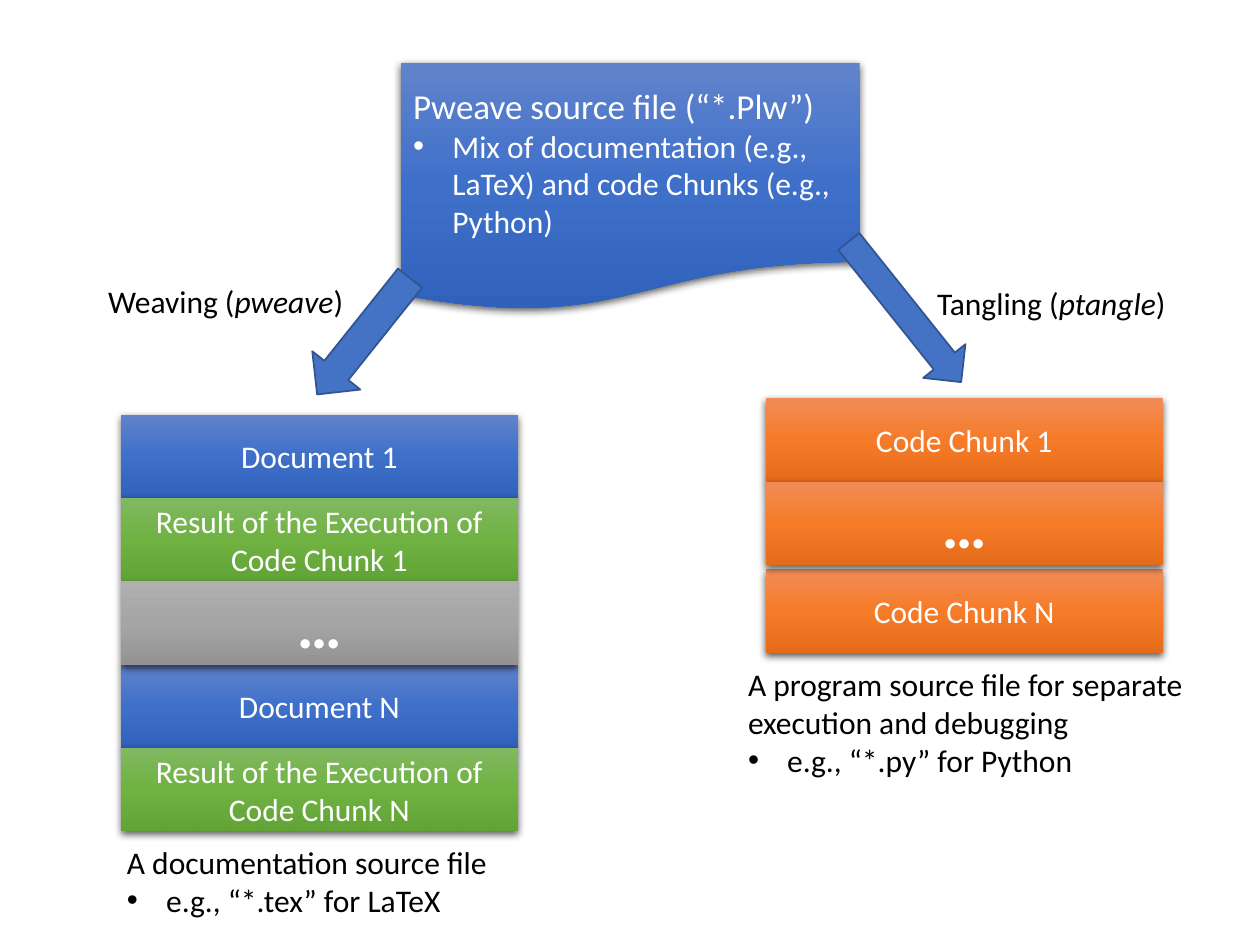
from copy import deepcopy

from lxml import etree
from pptx import Presentation
from pptx.dml.color import RGBColor
from pptx.enum.shapes import MSO_SHAPE as Preset
from pptx.enum.text import MSO_ANCHOR as Anchor, MSO_AUTO_SIZE as AutoSize, PP_ALIGN as Align
from pptx.oxml.ns import qn
from pptx.util import Cm, Pt

FONT = "Calibri"
COLORS = {
    "light": "FFFFFF",
    "dark": "000000",
    "arrow": "4472C4",
    "arrow_edge": "325491",
}
GRADIENTS = {
    "blue": ("6183CB", "3E70CA", "3062BB"),
    "green": ("81B861", "6FB242", "62A336"),
    "gray": ("AFAFAF", "A5A5A5", "939393"),
    "orange": ("F18C57", "F67B28", "E56C19"),
}
STACK_WIDTH, BLOCK_HEIGHT = 8, 1.68


def rgb(name):
    return RGBColor.from_string(COLORS[name])


def add_run(paragraph, text, color, size=18, bold=None, italic=None):
    run = paragraph.add_run()
    run.text = text
    font = run.font
    font.name, font.size, font.bold, font.italic = FONT, Pt(size), bold, italic
    font.color.rgb = rgb(color)


def add_bullet(frame, text, color):
    paragraph = frame.add_paragraph()
    properties = paragraph._p.get_or_add_pPr()
    properties.set("marL", str(Cm(0.79)))
    properties.set("indent", str(-Cm(0.79)))
    etree.SubElement(properties, qn("a:buFont")).set("typeface", "Arial")
    etree.SubElement(properties, qn("a:buChar")).set("char", "•")
    add_run(paragraph, text, color)


def fill_gradient(shape, gradient):
    """Fill from top to bottom with three evenly spaced colours."""
    shape.fill.gradient()
    shape.fill.gradient_angle = 270
    stop_list = shape._element.spPr.find(qn("a:gradFill")).find(qn("a:gsLst"))
    stop_list.append(deepcopy(stop_list[0]))
    for index, (stop, color) in enumerate(zip(shape.fill.gradient_stops, GRADIENTS[gradient])):
        stop.position = index / 2
        stop.color.rgb = RGBColor.from_string(color)


def add_shadow(shape):
    shape.shadow.inherit = False
    effects = shape._element.spPr.find(qn("a:effectLst"))
    shadow = etree.SubElement(effects, qn("a:outerShdw"), blurRad=str(Pt(4.5)),
                              dist=str(Pt(1.5)), dir="5400000", algn="ctr", rotWithShape="0")
    color = etree.SubElement(shadow, qn("a:srgbClr"), val=COLORS["dark"])
    etree.SubElement(color, qn("a:alpha"), val="63000")


def add_block(slide, preset, left, top, width, height, gradient):
    shape = slide.shapes.add_shape(preset, Cm(left), Cm(top), Cm(width), Cm(height))
    fill_gradient(shape, gradient)
    shape.line.fill.background()
    add_shadow(shape)
    shape.text_frame.word_wrap = True
    shape.text_frame.vertical_anchor = Anchor.MIDDLE
    return shape.text_frame


def add_stack(slide, left, blocks):
    """Draw blocks of (top, gradient, text) in one column."""
    for top, gradient, text in blocks:
        frame = add_block(slide, Preset.RECTANGLE, left, top, STACK_WIDTH, BLOCK_HEIGHT, gradient)
        paragraph = frame.paragraphs[0]
        paragraph.alignment = Align.CENTER
        if text == "…":
            add_run(paragraph, text, "light", size=36, bold=True)
        else:
            add_run(paragraph, text, "light")


def add_arrow(slide, left, top, width, height, rotation):
    arrow = slide.shapes.add_shape(Preset.DOWN_ARROW, Cm(left), Cm(top), Cm(width), Cm(height))
    arrow.rotation = rotation
    arrow.fill.solid()
    arrow.fill.fore_color.rgb = rgb("arrow")
    arrow.line.color.rgb = rgb("arrow_edge")
    arrow.line.width = Pt(1)
    arrow.shadow.inherit = False


def add_text_frame(slide, left, top, width, height, wrap):
    box = slide.shapes.add_textbox(Cm(left), Cm(top), Cm(width), Cm(height))
    frame = box.text_frame
    frame.word_wrap = wrap
    frame.auto_size = AutoSize.SHAPE_TO_FIT_TEXT
    return frame


def add_step_label(slide, left, top, width, step, command):
    paragraph = add_text_frame(slide, left, top, width, 1.03, False).paragraphs[0]
    add_run(paragraph, f"{step} (", "dark")
    add_run(paragraph, command, "dark", italic=True)
    add_run(paragraph, ")", "dark")


def add_caption(slide, left, top, width, height, text, example):
    frame = add_text_frame(slide, left, top, width, height, True)
    add_run(frame.paragraphs[0], text, "dark")
    add_bullet(frame, example, "dark")


def add_source_file(slide):
    frame = add_block(slide, Preset.FLOWCHART_DOCUMENT, 8.08, 1.27, 9.25, 5, "blue")
    frame.paragraphs[0].alignment = Align.LEFT
    add_run(frame.paragraphs[0], "Pweave source file (“*.Plw”)", "light", size=20)
    add_bullet(frame, "Mix of documentation (e.g., LaTeX) and code Chunks (e.g., Python)", "light")
    frame.paragraphs[1].alignment = Align.LEFT


def main():
    presentation = Presentation()
    presentation.slide_width, presentation.slide_height = Cm(25.4), Cm(19.05)
    slide = presentation.slides.add_slide(presentation.slide_layouts[6])

    add_source_file(slide)
    add_arrow(slide, 6.71, 5.28, 1.24, 3, 38.6)
    add_arrow(slide, 17.7, 4.47, 1.09, 3.63, 321.4)
    add_step_label(slide, 1.93, 5.56, 5.31, "Weaving", "pweave")
    add_step_label(slide, 18.64, 5.61, 5.16, "Tangling", "ptangle")

    rows = [8.36 + BLOCK_HEIGHT * index for index in range(5)]
    add_stack(slide, 2.44, [
        (rows[0], "blue", "Document 1"),
        (rows[1], "green", "Result of the Execution of Code Chunk 1"),
        (rows[3], "blue", "Document N"),
        (rows[4], "green", "Result of the Execution of Code Chunk N"),
        (rows[2], "gray", "…"),
    ])
    add_stack(slide, 15.44, [
        (8.03, "orange", "Code Chunk 1"),
        (11.48, "orange", "Code Chunk N"),
        (9.71, "orange", "…"),
    ])

    add_caption(slide, 14.83, 13.28, 9.63, 2.57,
                "A program source file for separate execution and debugging",
                "e.g., “*.py” for Python")
    add_caption(slide, 2.31, 16.87, 7.95, 1.8,
                "A documentation source file", "e.g., “*.tex” for LaTeX")
    presentation.save("out.pptx")


if __name__ == "__main__":
    main()
